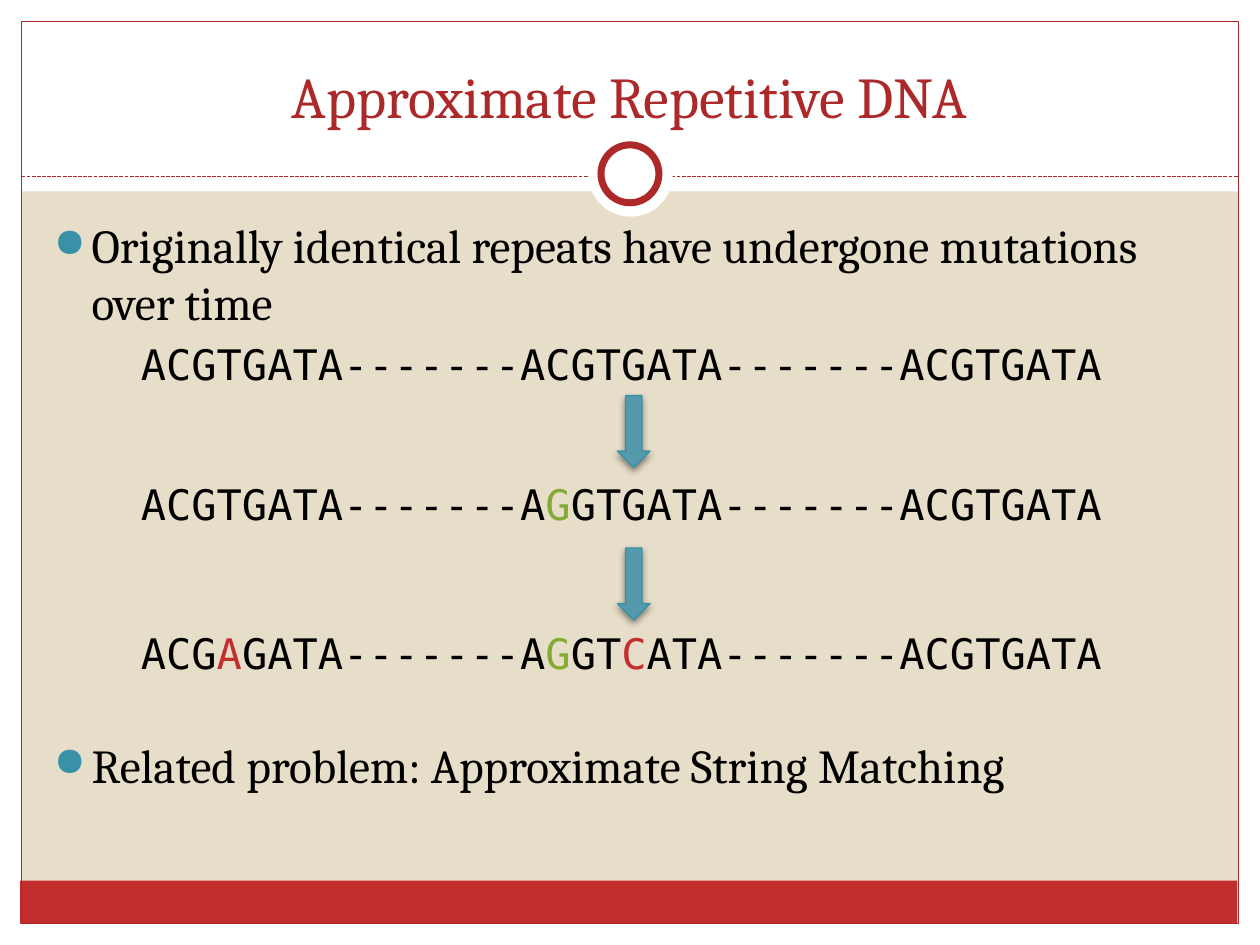
from lxml import etree
from pptx import Presentation
from pptx.dml.color import RGBColor
from pptx.enum.dml import MSO_LINE
from pptx.enum.shapes import MSO_CONNECTOR, MSO_SHAPE
from pptx.enum.text import MSO_ANCHOR, PP_ALIGN
from pptx.oxml import parse_xml
from pptx.oxml.ns import nsdecls, qn
from pptx.util import Inches, Pt

RECT, OVAL, ARROW = MSO_SHAPE.RECTANGLE, MSO_SHAPE.OVAL, MSO_SHAPE.DOWN_ARROW
SERIF, MONO = "Cambria", "DejaVu Sans Mono"
COLORS = {
    "sand": "E7DEC9", "white": "FFFFFF", "black": "000000",
    "red": "C32D2E", "dark_red": "AC2829", "green": "84AA33",
    "teal": "3891A7", "arrow": "5599AD",
}


def color(name):
    return RGBColor.from_string(COLORS[name])


def add_shape(kind, box, fill=None, line=None, width=0.75):
    """Add a preset shape without shadow; no fill or line unless named."""
    shape = slide.shapes.add_shape(kind, *map(Inches, box))
    shape.shadow.inherit = False
    if fill:
        shape.fill.solid()
        shape.fill.fore_color.rgb = color(fill)
    else:
        shape.fill.background()
    if line:
        shape.line.color.rgb = color(line)
        shape.line.width = Pt(width)
    else:
        shape.line.fill.background()
    return shape


prs = Presentation()
prs.slide_width, prs.slide_height = Inches(10), Inches(7.5)
slide = prs.slides.add_slide(prs.slide_layouts[6])
slide.background.fill.solid()
slide.background.fill.fore_color.rgb = color("sand")

# White margins, header band, footer bar and frame
for band in [(0, 7.33, 10, 0.17), (0, 0, 10, 1.52),
             (0, 0, 0.17, 7.5), (9.83, 0, 0.17, 7.5)]:
    add_shape(RECT, band, "white")
add_shape(RECT, (0.16, 6.99, 9.66, 0.34), "red")
add_shape(RECT, (0.17, 0.17, 9.66, 7.16), line="dark_red")

divider = slide.shapes.add_connector(
    MSO_CONNECTOR.STRAIGHT, Inches(0.17), Inches(1.4), Inches(9.83), Inches(1.4))
divider.line.color.rgb = color("dark_red")
divider.line.width = Pt(0.75)
divider.line.dash_style = MSO_LINE.SQUARE_DOT
etree.SubElement(divider._element.spPr, qn("a:effectLst"))

add_shape(OVAL, (4.67, 1.05, 0.67, 0.67), "white")
add_shape(OVAL, (4.77, 1.15, 0.46, 0.46), "white", "dark_red", 4)


def add_text(box, paragraphs, size, font):
    """Add a text box; each paragraph is a list of (text, colour) runs."""
    frame = slide.shapes.add_textbox(*map(Inches, box)).text_frame
    frame.word_wrap = True
    for i, runs in enumerate(paragraphs):
        paragraph = frame.add_paragraph() if i else frame.paragraphs[0]
        for text, name in runs:
            run = paragraph.add_run()
            run.text = text
            run.font.size = Pt(size)
            run.font.name = font
            run.font.color.rgb = color(name)
    return frame


title = add_text((0.33, 0.25, 9.33, 0.83),
                 [[("Approximate Repetitive DNA", "dark_red")]], 33, SERIF)
title.vertical_anchor = MSO_ANCHOR.BOTTOM
title.paragraphs[0].alignment = PP_ALIGN.CENTER

points = add_text((0.33, 1.67, 9.3, 5), [
    [("Originally identical repeats have undergone mutations over time", "black")],
    [("Related problem: Approximate String Matching", "black")],
], 27, SERIF)
for point in points.paragraphs:
    props = point._p.get_or_add_pPr()
    props.set("marL", str(Inches(0.3)))
    props.set("indent", str(Inches(-0.3)))
    for bullet in (f'<a:buClr {nsdecls("a")}><a:srgbClr val="{COLORS["teal"]}"/></a:buClr>',
                   f'<a:buSzPct {nsdecls("a")} val="85000"/>',
                   f'<a:buChar {nsdecls("a")} char="●"/>'):
        props.append(parse_xml(bullet))
# Room for the sequences between the two points
points.paragraphs[1].space_before = Pt(232)

# Sequences after each round of mutations
sequences = [
    (2.64, [("ACGTGATA-------ACGTGATA-------ACGTGATA", "black")]),
    (3.75, [("ACGTGATA-------A", "black"), ("G", "green"),
            ("GTGATA-------ACGTGATA", "black")]),
    (4.93, [("ACG", "black"), ("A", "red"), ("GATA-------A", "black"),
            ("G", "green"), ("GT", "black"), ("C", "red"),
            ("ATA-------ACGTGATA", "black")]),
]
for top, runs in sequences:
    add_text((1.02, top, 7.97, 0.5), [runs], 24, MONO)

for top in (3.14, 4.35):
    arrow = add_shape(ARROW, (4.9, top, 0.26, 0.57), "arrow", "teal")
    effects = arrow._element.spPr.find(qn("a:effectLst"))
    effects.append(parse_xml(
        f'<a:outerShdw {nsdecls("a")} blurRad="{Pt(4)}" dist="{Pt(2)}" dir="5400000" '
        f'rotWithShape="0"><a:srgbClr val="{COLORS["black"]}"><a:alpha val="45000"/>'
        '</a:srgbClr></a:outerShdw>'))

prs.save("out.pptx")
